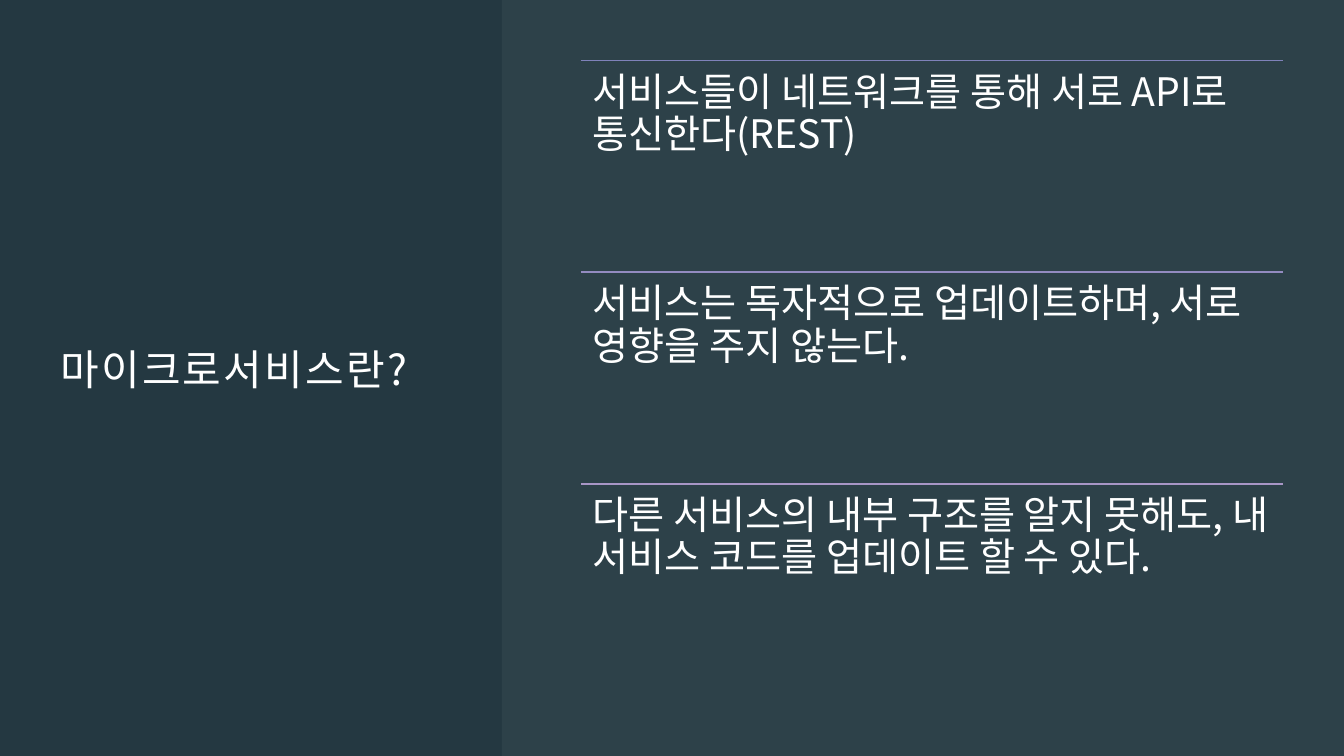
import pptx
import pptx.dml.color
import pptx.enum.shapes
import pptx.enum.text
import pptx.oxml
import pptx.oxml.ns
import pptx.util
from lxml import etree

Pt = pptx.util.Pt
qn = pptx.oxml.ns.qn
FONT = "Noto Sans CJK KR"


def rgb(value):
    return pptx.dml.color.RGBColor.from_string(value)


def add_text(text, left, top, width, height, size, line_spacing, inset):
    """Add a wrapped white text box and return its paragraph."""
    box = page.shapes.add_textbox(Pt(left), Pt(top), Pt(width), Pt(height))
    frame = box.text_frame
    frame.word_wrap = True
    frame.margin_left = frame.margin_right = Pt(inset)
    frame.margin_top = frame.margin_bottom = Pt(inset)
    para = frame.paragraphs[0]
    para.text = text
    para.line_spacing = line_spacing
    para.font.size = Pt(size)
    para.font.name = FONT
    para.font.color.rgb = rgb("FFFFFF")
    # Hangul takes the East Asian typeface, which follows the Latin one
    latin = para._p.pPr.find(qn("a:defRPr")).find(qn("a:latin"))
    east_asian = etree.Element(qn("a:ea"), typeface=FONT)
    latin.addnext(east_asian)
    return para


deck = pptx.Presentation()
deck.slide_width, deck.slide_height = Pt(960), Pt(540)
page = deck.slides.add_slide(deck.slide_layouts[6])
page.background.fill.solid()
page.background.fill.fore_color.rgb = rgb("243841")

# Light veil over the right side
panel = page.shapes.add_shape(
    pptx.enum.shapes.MSO_SHAPE.RECTANGLE, Pt(358.5), 0, Pt(601.5), Pt(540))
panel.shadow.inherit = False
panel.line.fill.background()
panel.fill.solid()
panel.fill.fore_color.rgb = rgb("E5EDF0")
panel_color = panel._element.spPr.find(qn("a:solidFill")).find(qn("a:srgbClr"))
etree.SubElement(panel_color, qn("a:alpha"), val="5000")

title = add_text("마이크로서비스란?", 43.2, 43.2, 281, 436.3, 30, 1.1, 0)
title._p.pPr.find(qn("a:defRPr")).set("spc", "160")
page.shapes[-1].text_frame.vertical_anchor = pptx.enum.text.MSO_ANCHOR.MIDDLE

# Three statements, each under a rule
points = [
    ("7F82BA", "서비스들이 네트워크를 통해 서로 API로 통신한다(REST)"),
    ("938BC0", "서비스는 독자적으로 업데이트하며, 서로 영향을 주지 않는다."),
    ("A896C6", "다른 서비스의 내부 구조를 알지 못해도, 내 서비스 코드를 업데이트 할 수 있다."),
]
LEFT, TOP, WIDTH, ROW_HEIGHT = 414.9, 43.2, 501.6, 151.2

for row, (color, text) in enumerate(points):
    top = TOP + row * ROW_HEIGHT
    rule = page.shapes.add_connector(
        pptx.enum.shapes.MSO_CONNECTOR.STRAIGHT,
        Pt(LEFT), Pt(top), Pt(LEFT + WIDTH), Pt(top))
    rule.line.color.rgb = rgb(color)
    rule.line.width = Pt(1)
    etree.SubElement(rule._element.spPr, qn("a:effectLst"))
    add_text(text, LEFT, top, WIDTH, ROW_HEIGHT, 28, 0.9, 8.4)

deck.save("out.pptx")
